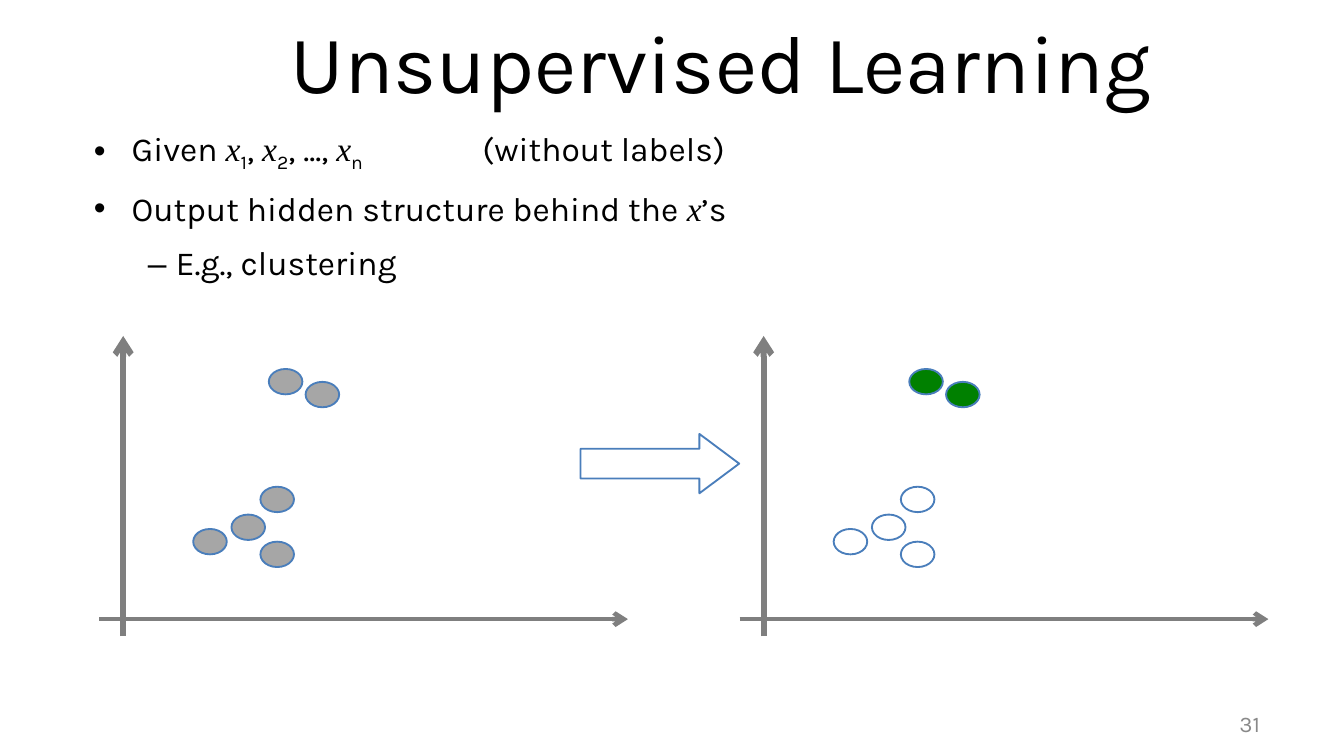
"""Build the Unsupervised Learning slide: three notes, raw points, and the clusters found in them."""
import pptx
import pptx.dml.color
import pptx.enum.shapes
import pptx.enum.text
import pptx.oxml.ns
import pptx.util
import lxml.etree

Pt = pptx.util.Pt
RGB = pptx.dml.color.RGBColor.from_string
Preset = pptx.enum.shapes.MSO_SHAPE

THEME = {
    "ink": RGB("000000"), "axis": RGB("7F7F7F"), "outline": RGB("4A7EBB"),
    "raw": RGB("A6A6A6"), "cluster": RGB("008000"), "muted": RGB("898989"),
    "title": Pt(44), "body": Pt(18), "number": Pt(12),
}
PLAIN = {"name": "Karla", "italic": False}
VARIABLE = {"name": "Times New Roman", "italic": True}
DASH = {"name": "Arial", "italic": False}


def add_xml(parent, tag, **attributes):
    return lxml.etree.SubElement(parent, pptx.oxml.ns.qn(tag), attributes)


def add_text(box, paragraph, text, size, color, style=PLAIN, baseline=0):
    run = paragraph.add_run()
    run.text = text
    for key, value in {**style, "size": size}.items():
        setattr(run.font, key, value)
    run.font.color.rgb = color
    if baseline:
        run.font._element.set("baseline", str(baseline))


presentation = pptx.Presentation()
presentation.slide_width, presentation.slide_height = Pt(720), Pt(405)
slide = presentation.slides.add_slide(presentation.slide_layouts[6])

frames = {}
for part, left, top, width, height, inset, wrap in [
    ("title", 154.8, 5, 477.4, 41, 0.9, True),
    ("notes", 42.5, 59.8, 537.8, 101.5, 8.6, True),
    ("number", 663.1, 379.4, 14.4, 12.2, 0.9, False),
]:
    frame = slide.shapes.add_textbox(Pt(left), Pt(top), Pt(width), Pt(height)).text_frame
    layout = {"margin_left": 0, "margin_right": 0, "margin_bottom": 0, "margin_top": Pt(inset),
              "word_wrap": wrap, "vertical_anchor": pptx.enum.text.MSO_ANCHOR.TOP}
    for key, value in layout.items():
        setattr(frame, key, value)
    frames[part] = frame

for part, text, color in [("title", "Unsupervised Learning", "ink"), ("number", "31", "muted")]:
    heading = frames[part].paragraphs[0]
    heading._p.get_or_add_pPr().set("marL", str(Pt(0.9)))
    add_text(frames[part], heading, text, THEME[part], THEME[color])

notes = [
    (True, [("Given ", PLAIN, 0), ("x", VARIABLE, 0), ("1", PLAIN, -25000), (", ", PLAIN, 0),
            ("x", VARIABLE, 0), ("2", PLAIN, -25000), (", ..., ", PLAIN, 0),
            ("x", VARIABLE, 0), ("n\t", PLAIN, -25000), ("(without labels)", PLAIN, 0)]),
    (True, [("Output hidden structure behind the ", PLAIN, 0), ("x", VARIABLE, 0), ("’s", PLAIN, 0)]),
    (False, [("– ", DASH, 0), ("E.g., clustering", PLAIN, 0)]),
]
for index, (bulleted, pieces) in enumerate(notes):
    note = frames["notes"].add_paragraph() if index else frames["notes"].paragraphs[0]
    if index:
        note.space_before = Pt(7.6)
    properties = note._p.get_or_add_pPr()
    properties.set("marL", str(Pt(28.1 if bulleted else 36.7)))
    properties.set("indent", str(Pt(-20.2 if bulleted else 0)))
    if bulleted:
        add_xml(add_xml(properties, "a:buClr"), "a:srgbClr", val=str(THEME["ink"]))
        add_xml(properties, "a:buFont", typeface="Arial")
        add_xml(properties, "a:buChar", char="•")
        add_xml(add_xml(properties, "a:tabLst"), "a:tab", pos=str(Pt(216)), algn="l")
    for text, style, baseline in pieces:
        add_text(frames["notes"], note, text, THEME["body"], THEME["ink"], style, baseline)

upper_cluster = [(144, 197.7), (163.7, 204.6)]
lower_cluster = [(139.5, 260.8), (139.5, 290.2), (103.5, 283.4), (124, 275.7)]
outlined = []
for offset, upper_fill, lower_fill in [(0, "raw", "raw"), (343.1, "cluster", None)]:
    for x1, y1, x2, y2, weight in [(66, 340.8, 66, 180, 3.2), (53.1, 331.7, 336.4, 331.7, 2.4)]:
        axis = slide.shapes.add_connector(
            pptx.enum.shapes.MSO_CONNECTOR.STRAIGHT,
            Pt(x1 + offset), Pt(y1), Pt(x2 + offset), Pt(y2))
        axis.line.color.rgb = THEME["axis"]
        axis.line.width = Pt(weight)
        add_xml(axis.line._get_or_add_ln(), "a:tailEnd", type="arrow")
        add_xml(axis._element.spPr, "a:effectLst")
    for cluster, fill in [(upper_cluster, upper_fill), (lower_cluster, lower_fill)]:
        for left, top in cluster:
            point = slide.shapes.add_shape(Preset.OVAL, Pt(left + offset), Pt(top), Pt(18), Pt(13.6))
            outlined.append((point, fill))

step = slide.shapes.add_shape(Preset.RIGHT_ARROW, Pt(311), Pt(232.5), Pt(85), Pt(31.8))
step.adjustments[0], step.adjustments[1] = 0.5, 0.67
outlined.append((step, None))

for shape, fill in outlined:
    shape.shadow.inherit = False
    shape.line.color.rgb = THEME["outline"]
    shape.line.width = Pt(1)
    if fill:
        shape.fill.solid()
        shape.fill.fore_color.rgb = THEME[fill]
    else:
        shape.fill.background()

presentation.save("out.pptx")
